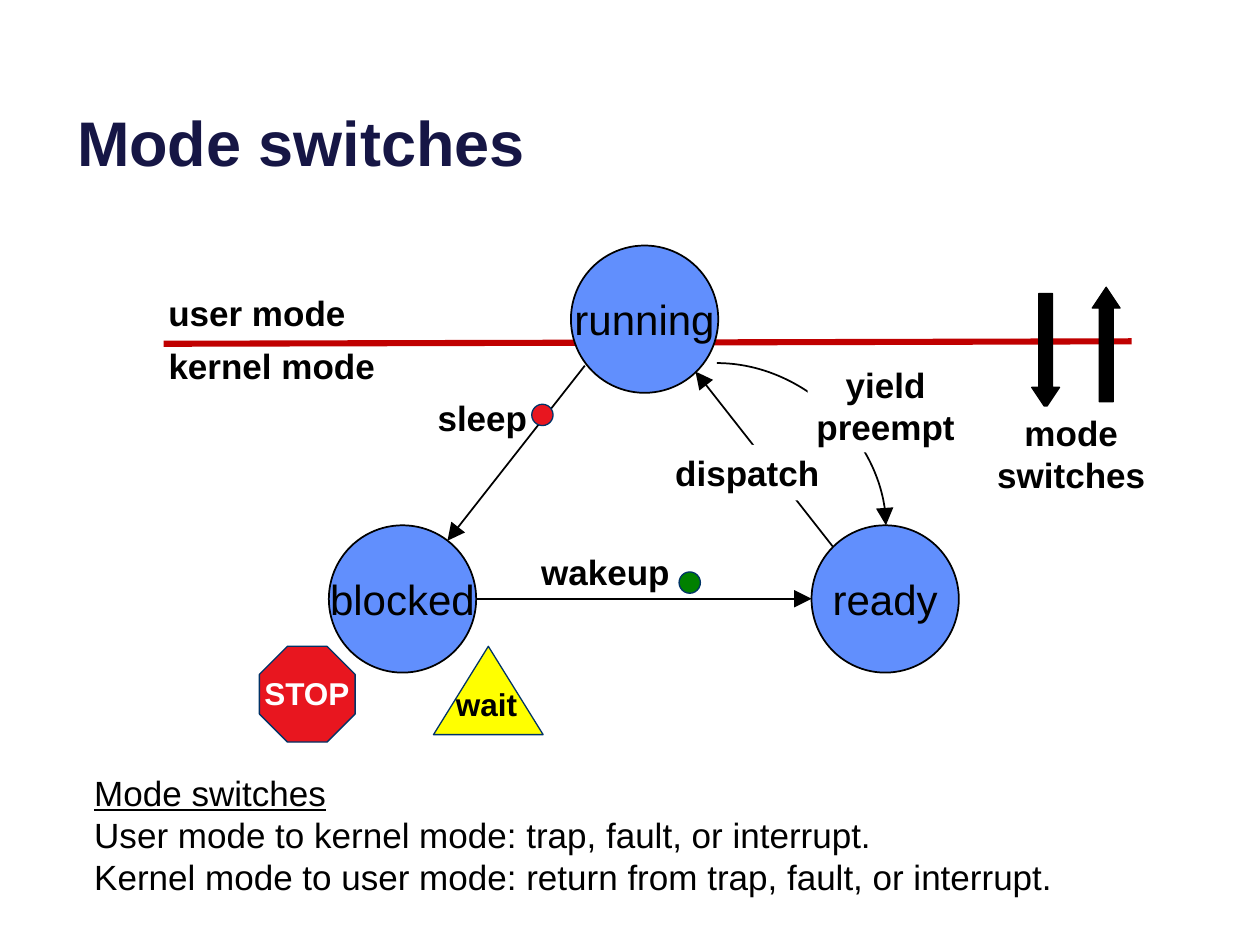
import dataclasses

import pptx
import pptx.dml.color
import pptx.enum.shapes
import pptx.enum.text
import pptx.oxml.ns
import pptx.util
from lxml import etree

SHAPE = pptx.enum.shapes.MSO_SHAPE
CONNECTOR = pptx.enum.shapes.MSO_CONNECTOR
ALIGN = pptx.enum.text.PP_ALIGN
ANCHOR = pptx.enum.text.MSO_ANCHOR


@dataclasses.dataclass(frozen=True)
class Theme:
    """Fonts, colours and type sizes of the slide."""
    font: str = "Arial"
    ink: str = "000000"
    paper: str = "FFFFFF"
    heading: str = "161645"
    state: str = "618FFD"
    boundary: str = "C00000"
    stop: str = "E8161F"
    wait: str = "FFFF00"
    go: str = "008000"
    outline: str = "003367"
    title_size: int = 36
    state_size: int = 24
    label_size: int = 20
    sign_size: int = 18


THEME = Theme()


@dataclasses.dataclass(frozen=True)
class Box:
    """A region in centimetres."""
    left: float
    top: float
    width: float
    height: float

    def inner(self, left, top, width, height):
        """Return a box placed relative to this one."""
        return Box(self.left + left, self.top + top, width, height)

    def point(self, x, y):
        """Return a point of this box as slide lengths."""
        return pptx.util.Cm(self.left + x), pptx.util.Cm(self.top + y)

    def lengths(self):
        """Return left, top, width and height as slide lengths."""
        return [pptx.util.Cm(value) for value in dataclasses.astuple(self)]


def rgb(code):
    """Return the colour for a hex code."""
    return pptx.dml.color.RGBColor.from_string(code)


def write(frame, lines, size, color=THEME.ink, bold=False, align=ALIGN.CENTER,
          anchor=ANCHOR.MIDDLE, wrap=False, underlined=()):
    """Fill a text frame with one paragraph for each line."""
    frame.word_wrap = wrap
    frame.vertical_anchor = anchor
    for index, line in enumerate(lines):
        para = frame.add_paragraph() if index else frame.paragraphs[0]
        para.alignment = align
        span = para.add_run()
        span.text = line
        span.font.name = THEME.font
        span.font.size = pptx.util.Pt(size)
        span.font.bold = bold
        span.font.underline = index in underlined
        span.font.color.rgb = rgb(color)


def add_figure(page, kind, box, fill, outline=None, weight=0.75):
    """Add a filled preset shape with an optional outline."""
    figure = page.shapes.add_shape(kind, *box.lengths())
    figure.shadow.inherit = False
    figure.fill.solid()
    figure.fill.fore_color.rgb = rgb(fill)
    if outline:
        figure.line.color.rgb = rgb(outline)
        figure.line.width = pptx.util.Pt(weight)
    else:
        figure.line.fill.background()
    return figure


def add_label(page, box, lines, backed=False, size=THEME.label_size, **style):
    """Add a bold label, on a paper-coloured panel if backed."""
    if backed:
        label = add_figure(page, SHAPE.RECTANGLE, box, THEME.paper)
    else:
        label = page.shapes.add_textbox(*box.lengths())
    write(label.text_frame, lines, size, bold=True, **style)


def add_line(page, box, start, end, color=THEME.ink, weight=1, arrow=True, curved=False):
    """Connect two points of a box."""
    kind = CONNECTOR.CURVE if curved else CONNECTOR.STRAIGHT
    line = page.shapes.add_connector(kind, *box.point(*start), *box.point(*end))
    line.line.color.rgb = rgb(color)
    line.line.width = pptx.util.Pt(weight)
    qn = pptx.oxml.ns.qn
    properties = line._element.spPr
    if arrow:
        etree.SubElement(properties.find(qn("a:ln")), qn("a:tailEnd"),
                         type="triangle", w="lg", len="lg")
    if curved:
        properties.find(qn("a:prstGeom")).set("prst", "curvedConnector2")
    etree.SubElement(properties, qn("a:effectLst"))


def place_title(page, box):
    """Place the slide title."""
    title = page.shapes.title
    title.left, title.top, title.width, title.height = box.lengths()
    write(title.text_frame, ["Mode switches"], THEME.title_size, THEME.heading, True,
          ALIGN.LEFT, ANCHOR.BOTTOM, True)


def place_boundary(page, box):
    """Draw the line between user mode and kernel mode."""
    add_line(page, box, (0, 1.14), (box.width, 1.09), THEME.boundary, 3.5, arrow=False)
    add_label(page, box.inner(-0.62, 0, 5, 1.02), ["user mode"])
    add_label(page, box.inner(-0.32, 1.07, 5, 1.02), ["kernel mode"])


def place_states(page, box):
    """Draw the process states and the transitions between them."""
    diameter = 2.97
    for name, left, top in (("running", 4.88, 0), ("ready", 9.73, 5.64), ("blocked", 0, 5.64)):
        state = add_figure(page, SHAPE.OVAL, box.inner(left, top, diameter, diameter),
                           THEME.state, THEME.ink, 1)
        write(state.text_frame, [name], THEME.state_size)
    add_line(page, box, (5.16, 2.42), (2.39, 5.95))
    add_line(page, box, (diameter, 7.12), (9.73, 7.12))
    add_line(page, box, (7.82, 2.37), (11.23, 5.64), curved=True)
    add_line(page, box, (10.16, 6.07), (7.39, 2.54))
    add_label(page, box.inner(1.52, 2.95, 3.15, 1.02), ["sleep"])
    for left, top, color in ((4.09, 3.2, THEME.stop), (7.06, 6.58, THEME.go)):
        add_figure(page, SHAPE.OVAL, box.inner(left, top, 0.43, 0.43), color, THEME.outline)
    add_label(page, box.inner(3.25, 6.02, 4.65, 1.12), ["wakeup"])
    add_label(page, box.inner(6.63, 4.02, 3.61, 1.12), ["dispatch"], backed=True)
    add_label(page, box.inner(9.65, 2.29, 3.15, 1.88), ["yield", "preempt"], backed=True)


def place_signs(page, box):
    """Draw the stop and wait signs below the blocked state."""
    style = {"size": THEME.sign_size, "align": ALIGN.LEFT, "anchor": ANCHOR.TOP}
    add_figure(page, SHAPE.OCTAGON, box.inner(0.15, 0, 1.93, 1.93), THEME.stop, THEME.outline)
    add_label(page, box.inner(0, 0.43, 2.26, 1.02), ["STOP"], color=THEME.paper, **style)
    add_figure(page, SHAPE.ISOSCELES_TRIANGLE, box.inner(3.66, 0, 2.21, 1.78),
               THEME.wait, THEME.outline)
    add_label(page, box.inner(3.86, 0.66, 1.75, 1.02), ["wait"], **style)


def place_switches(page, box):
    """Draw the two arrows that cross the boundary."""
    for kind, left, top in ((SHAPE.DOWN_ARROW, 0.78, 0.13), (SHAPE.UP_ARROW, 2, 0)):
        arrow = add_figure(page, kind, box.inner(left, top, 0.56, 2.31), THEME.ink, THEME.ink)
        arrow.adjustments[1] = 0.75
    add_label(page, box.inner(0, 2.41, box.width, 1.88), ["mode", "switches"], backed=True)


def place_notes(page, box):
    """Write the explanation under the diagram."""
    notes = page.shapes.add_textbox(*box.lengths())
    lines = ["Mode switches",
             "User mode to kernel mode: trap, fault, or interrupt.",
             "Kernel mode to user mode: return from trap, fault, or interrupt."]
    write(notes.text_frame, lines, THEME.label_size, align=ALIGN.LEFT,
          anchor=ANCHOR.TOP, wrap=True, underlined=(0,))


def main():
    """Build and save the deck."""
    deck = pptx.Presentation()
    deck.slide_width, deck.slide_height = pptx.util.Cm(25.4), pptx.util.Cm(19.05)
    page = deck.slides.add_slide(deck.slide_layouts.get_by_name("Title Only"))
    place_title(page, Box(1.3, -0.58, 22.86, 4.32))
    place_boundary(page, Box(3.3, 5.79, 19.51, 2.09))
    place_states(page, Box(6.63, 4.95, 12.8, 8.61))
    place_signs(page, Box(5.08, 13.03, 5.87, 1.93))
    place_switches(page, Box(20.02, 5.79, 3.15, 4.29))
    place_notes(page, Box(1.65, 15.42, 22.4, 2.82))
    deck.save("out.pptx")


if __name__ == "__main__":
    main()
